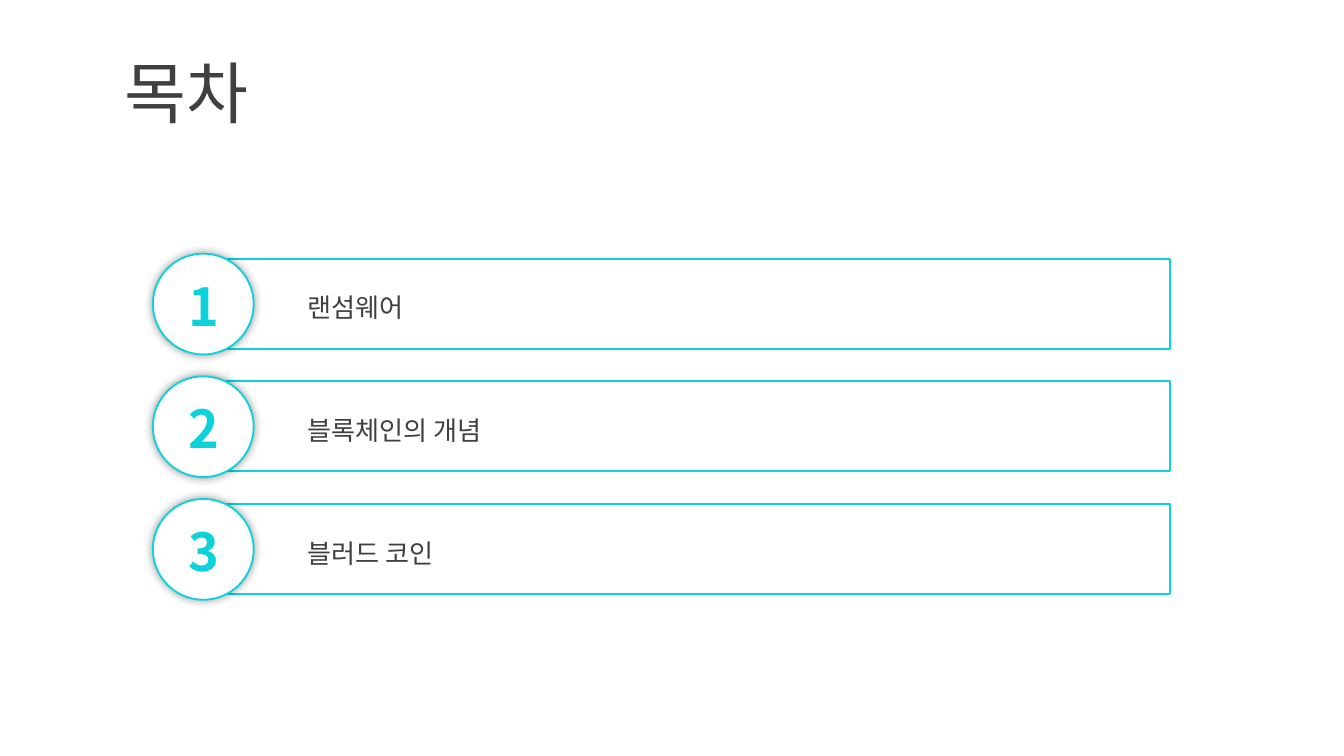
from dataclasses import dataclass

from lxml import etree
from pptx import Presentation
from pptx.dml.color import RGBColor
from pptx.enum.shapes import MSO_SHAPE as Shape
from pptx.enum.text import MSO_ANCHOR as Anchor, PP_ALIGN as Align
from pptx.oxml.ns import qn
from pptx.util import Emu, Pt

PX = 5715


@dataclass(frozen=True)
class Theme:
    font: str = "Noto Sans CJK KR"
    ink: str = "404040"
    accent: str = "0DD2D9"
    paper: str = "FFFFFF"
    shadow: str = "000000"
    title: int = 36
    number: int = 28
    label: int = 14
    line: int = 1
    blur: int = 5


THEME = Theme()
ITEMS = ["랜섬웨어", "블록체인의 개념", "블러드 코인"]


def px(*lengths):
    return [Emu(n * PX) for n in lengths]


def add_text(s, box, text, size, color, bold=False, align=Align.LEFT):
    tf = s.shapes.add_textbox(*px(*box)).text_frame
    tf.word_wrap = True
    tf.vertical_anchor = Anchor.MIDDLE
    p = tf.paragraphs[0]
    p.alignment = align
    r = p.add_run()
    r.text = text
    r.font.name = THEME.font
    r.font.size = Pt(size)
    r.font.bold = bold
    r.font.color.rgb = RGBColor.from_string(color)
    ea = etree.SubElement(r.font._element, qn("a:ea"))
    ea.set("typeface", THEME.font)


def add_outline(s, kind, box):
    sp = s.shapes.add_shape(kind, *px(*box))
    sp.shadow.inherit = False
    sp.fill.background()
    sp.line.color.rgb = RGBColor.from_string(THEME.accent)
    sp.line.width = Pt(THEME.line)
    return sp


def add_glow(sp):
    effects = sp._element.spPr.find(qn("a:effectLst"))
    shadow = etree.SubElement(effects, qn("a:outerShdw"), blurRad=str(Pt(THEME.blur)),
                              dist="0", dir="0", algn="ctr", rotWithShape="0")
    color = etree.SubElement(shadow, qn("a:srgbClr"), val=THEME.shadow)
    etree.SubElement(color, qn("a:alpha"), val="40000")


def add_title(s, box, text):
    add_text(s, box, text, THEME.title, THEME.ink)


def add_item(s, box, number, text):
    x, y, w, h = box
    add_outline(s, Shape.RECTANGLE, (x + 61, y + 6, w - 61, h - 13))
    add_text(s, (x + 168, y + 37, w - 206, 54), text, THEME.label, THEME.ink)
    badge = add_outline(s, Shape.OVAL, (x, y, h, h))
    badge.fill.solid()
    badge.fill.fore_color.rgb = RGBColor.from_string(THEME.paper)
    add_glow(badge)
    add_text(s, (x + 23, y + 16, 75, 91), str(number), THEME.number, THEME.accent,
             bold=True, align=Align.CENTER)


def add_contents(s, box, items):
    x, y, w, h = box
    row = 120
    pitch = (h - row) // (len(items) - 1)
    for i, text in enumerate(items):
        add_item(s, (x, y + i * pitch, w, row), i + 1, text)


def main():
    prs = Presentation()
    prs.slide_width, prs.slide_height = px(1600, 900)
    s = prs.slides.add_slide(prs.slide_layouts[6])
    add_title(s, (133, 59, 1467, 101), "목차")
    add_contents(s, (182, 302, 1211, 413), ITEMS)
    prs.save("out.pptx")


if __name__ == "__main__":
    main()
